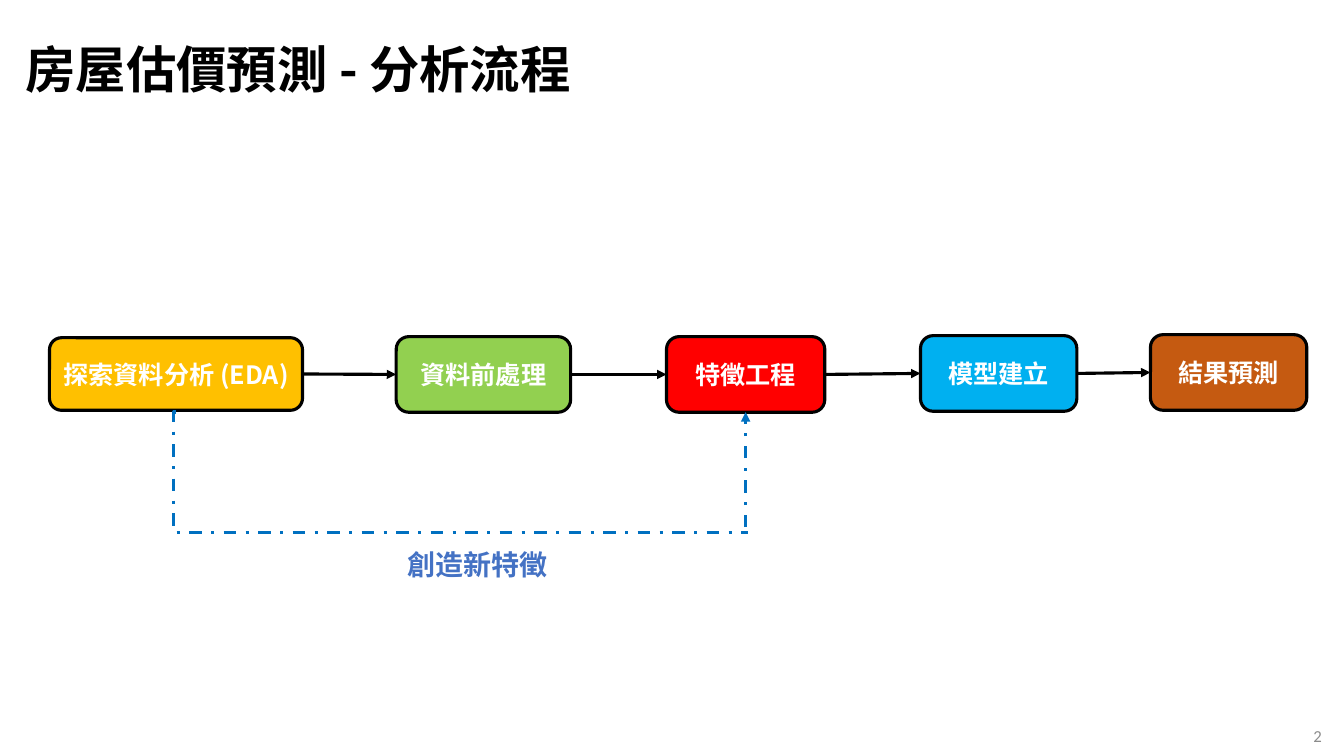
from lxml.etree import SubElement
from pptx import Presentation
from pptx.dml.color import RGBColor as RGB
from pptx.enum.dml import MSO_LINE as DASH
from pptx.enum.shapes import MSO_CONNECTOR as LINK, MSO_SHAPE as SHAPE
from pptx.enum.text import MSO_ANCHOR as ANCHOR, MSO_AUTO_SIZE as FIT, PP_ALIGN as ALIGN
from pptx.oxml.ns import qn
from pptx.util import Inches, Pt

INK = {
    "black": "000000", "white": "FFFFFF", "gold": "FFC000", "green": "92D050",
    "red": "FF0000", "sky": "00B0F0", "brown": "C55A11", "blue": "0070C0",
    "label": "4472C4", "gray": "8C8C8C",
}
CJK = "Noto Sans CJK SC"

deck = Presentation()
deck.slide_width, deck.slide_height = Inches(13.333), Inches(7.5)
# One column or row is a hundredth of the slide
COL, ROW = deck.slide_width / 100, deck.slide_height / 100
slide = deck.slides.add_slide(deck.slide_layouts[5])
shapes = slide.shapes


def write(shape, text, size, ink, align, font=CJK, bold=True):
    """Fill the first paragraph of a shape with one styled run."""
    frame = shape.text_frame
    frame.vertical_anchor = ANCHOR.MIDDLE
    par = frame.paragraphs[0]
    par.alignment = align
    run = par.add_run()
    run.text = text
    run.font.size, run.font.bold, run.font.name = Pt(size), bold, font
    run.font.color.rgb = RGB.from_string(INK[ink])
    SubElement(run.font._element, qn("a:ea"), typeface=font)
    return par


def style(link, ink, head=True, dash=None):
    """Colour a connector, drop its shadow and add an arrowhead."""
    link.line.width = Pt(2.25)
    link.line.color.rgb = RGB.from_string(INK[ink])
    if dash:
        link.line.dash_style = dash
    if head:
        SubElement(link.line._get_or_add_ln(), qn("a:tailEnd"), type="triangle")
    SubElement(link._element.spPr, qn("a:effectLst"))


# Title
title = shapes.title
title.left, title.top = int(1.13 * COL), int(0.53 * ROW)
title.width, title.height = int(80.5 * COL), int(18 * ROW)
title.text_frame.auto_size = FIT.NONE
write(title, "房屋估價預測 - 分析流程", 36, "black", ALIGN.LEFT).line_spacing = 0.9

# Steps: text, fill, left, top, width, height
steps = [
    ("探索資料分析 (EDA)", "gold", 3.68, 44.67, 18.83, 9.6),
    ("資料前處理", "green", 29.48, 44.53, 12.98, 10),
    ("特徵工程", "red", 49.59, 44.53, 11.78, 10),
    ("模型建立", "sky", 68.49, 44.4, 11.63, 10),
    ("結果預測", "brown", 85.6, 44.27, 11.63, 10),
]
boxes = []
for text, fill, left, top, wide, high in steps:
    box = shapes.add_shape(SHAPE.ROUNDED_RECTANGLE, int(left * COL), int(top * ROW),
                           int(wide * COL), int(high * ROW))
    box.shadow.inherit = False
    box.fill.solid()
    box.fill.fore_color.rgb = RGB.from_string(INK[fill])
    box.line.color.rgb = RGB.from_string(INK["black"])
    box.line.width = Pt(2.25)
    write(box, text, 18, "white", ALIGN.CENTER)
    boxes.append(box)

for prev, step in zip(boxes, boxes[1:]):
    arrow = shapes.add_connector(LINK.STRAIGHT, 0, 0, 0, 0)
    arrow.begin_connect(prev, 3)
    arrow.end_connect(step, 1)
    style(arrow, "black")

# Dashed detour from the first step to the third
bend = shapes.add_connector(LINK.ELBOW, int(13.1 * COL), int(54.5 * ROW),
                            int(55.66 * COL), int(70.4 * ROW))
guides = bend._element.spPr.find(qn("a:prstGeom")).get_or_add_avLst()
SubElement(guides, qn("a:gd"), name="adj1", fmla="val -400")
style(bend, "blue", head=False, dash=DASH.DASH_DOT)

goal = boxes[2]
rise = shapes.add_connector(LINK.STRAIGHT, goal.left + goal.width // 2, int(69.73 * ROW), 0, 0)
rise.end_connect(goal, 2)
style(rise, "blue", dash=DASH.DASH_DOT)

# Detour label and page number
label = shapes.add_textbox(int(29.56 * COL), int(71.73 * ROW), int(12 * COL), int(5.87 * ROW))
write(label, "創造新特徵", 20, "label", ALIGN.CENTER)
label.text_frame.word_wrap = False

page = shapes.add_textbox(int(76.59 * COL), int(94.67 * ROW), int(22.5 * COL), int(5.33 * ROW))
write(page, "2", 12, "gray", ALIGN.RIGHT, "Calibri", False)
page.text_frame.word_wrap = True

deck.save("out.pptx")
